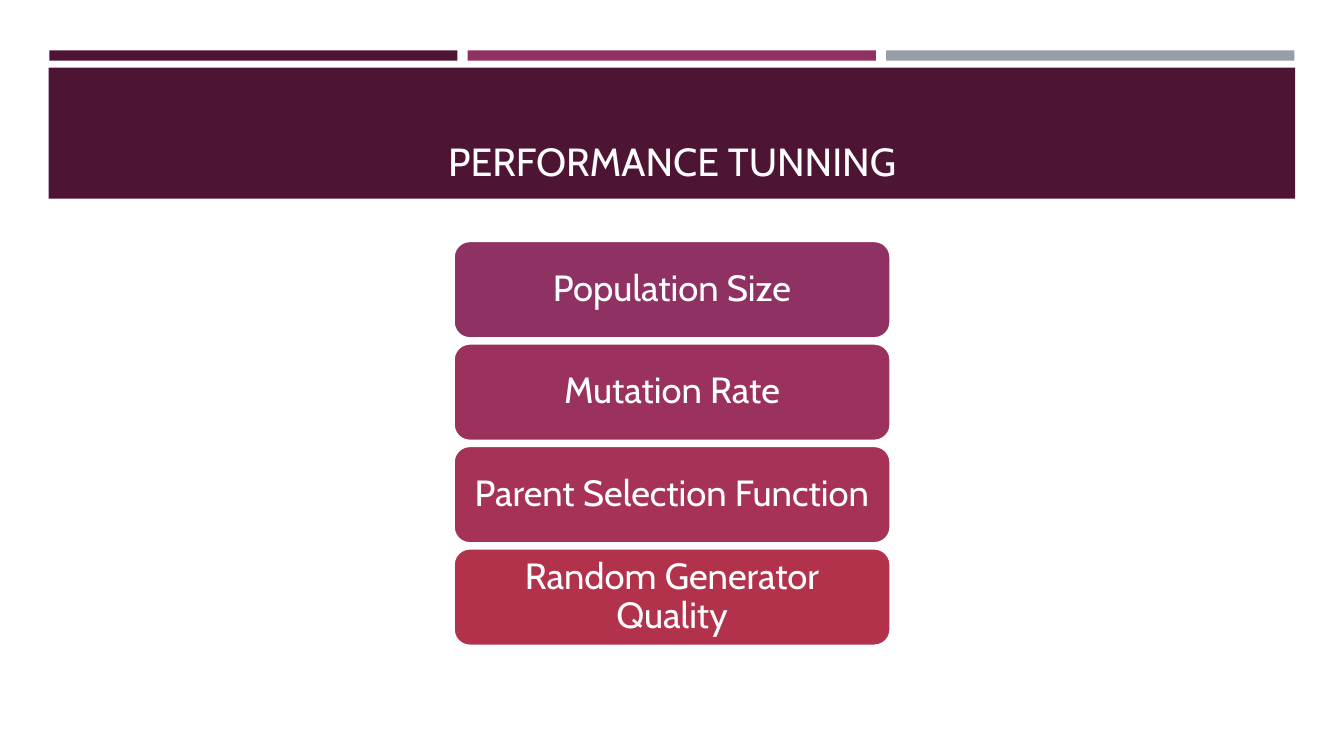
from dataclasses import dataclass

import pptx
import pptx.dml.color
import pptx.enum.shapes
import pptx.enum.text
import pptx.util

Pt = pptx.util.Pt
Color = pptx.dml.color.RGBColor.from_string
ShapeType = pptx.enum.shapes.MSO_SHAPE
Anchor = pptx.enum.text.MSO_ANCHOR


@dataclass(frozen=True)
class Theme:
    font: str = "Cabin"
    plum: str = "4D1434"
    magenta: str = "903163"
    gray: str = "969FA7"
    white: str = "FFFFFF"
    title_color: str = "FFFEFF"
    title_size: float = 28
    card_size: float = 26
    card_outline: float = 1.75


@dataclass(frozen=True)
class Box:
    left: float
    top: float
    width: float
    height: float

    def lengths(self) -> tuple:
        return Pt(self.left), Pt(self.top), Pt(self.width), Pt(self.height)


@dataclass(frozen=True)
class Card:
    text: str
    fill: str


THEME = Theme()
BAR_COLORS = (THEME.plum, THEME.magenta, THEME.gray)
FIRST_BAR = Box(35.2, 36, 291.6, 7.4)
BAR_STEP = 298.9
BANNER = Box(34.7, 48.3, 890.4, 93.6)
TITLE = Box(46, 55.2, 868.2, 80)
FIRST_CARD = Box(324, 172.1, 312.2, 69.6)
CARD_STEP = 73.2
CARDS = (
    Card("Population Size", THEME.magenta),
    Card("Mutation Rate", "9B325D"),
    Card("Parent Selection Function", "A63256"),
    Card("Random Generator Quality", "B2324B"),
)


def add_block(slide, box: Box, fill: str, kind=ShapeType.RECTANGLE, outline: float = 0):
    shape = slide.shapes.add_shape(kind, *box.lengths())
    shape.shadow.inherit = False
    shape.fill.solid()
    shape.fill.fore_color.rgb = Color(fill)
    if outline:
        shape.line.color.rgb = Color(THEME.white)
        shape.line.width = Pt(outline)
    else:
        shape.line.fill.background()
    return shape


def write_text(shape, text: str, *, size: float, color: str, anchor,
               side_inset: float = 7.2, line_spacing: float = 1.0) -> None:
    frame = shape.text_frame
    frame.word_wrap = True
    frame.vertical_anchor = anchor
    frame.margin_left = frame.margin_right = Pt(side_inset)
    frame.margin_top = frame.margin_bottom = Pt(3.6)
    paragraph = frame.paragraphs[0]
    paragraph.alignment = pptx.enum.text.PP_ALIGN.CENTER
    paragraph.line_spacing = line_spacing
    run = paragraph.add_run()
    run.text = text
    run.font.name = THEME.font
    run.font.size = Pt(size)
    run.font.color.rgb = Color(color)


def add_header(slide) -> None:
    for index, color in enumerate(BAR_COLORS):
        left = FIRST_BAR.left + index * BAR_STEP
        add_block(slide, Box(left, FIRST_BAR.top, FIRST_BAR.width, FIRST_BAR.height), color)
    add_block(slide, BANNER, THEME.plum)
    title = slide.shapes.add_textbox(*TITLE.lengths())
    write_text(title, "PERFORMANCE TUNNING", size=THEME.title_size,
               color=THEME.title_color, anchor=Anchor.BOTTOM)


def add_cards(slide) -> None:
    for index, card in enumerate(CARDS):
        top = FIRST_CARD.top + index * CARD_STEP
        box = Box(FIRST_CARD.left, top, FIRST_CARD.width, FIRST_CARD.height)
        shape = add_block(slide, box, card.fill, ShapeType.ROUNDED_RECTANGLE, THEME.card_outline)
        write_text(shape, card.text, size=THEME.card_size, color=THEME.white,
                   anchor=Anchor.MIDDLE, side_inset=7.8, line_spacing=0.9)


def main() -> None:
    presentation = pptx.Presentation()
    presentation.slide_width = Pt(960)
    presentation.slide_height = Pt(540)
    slide = presentation.slides.add_slide(presentation.slide_layouts[6])
    add_header(slide)
    add_cards(slide)
    presentation.save("out.pptx")


if __name__ == "__main__":
    main()
